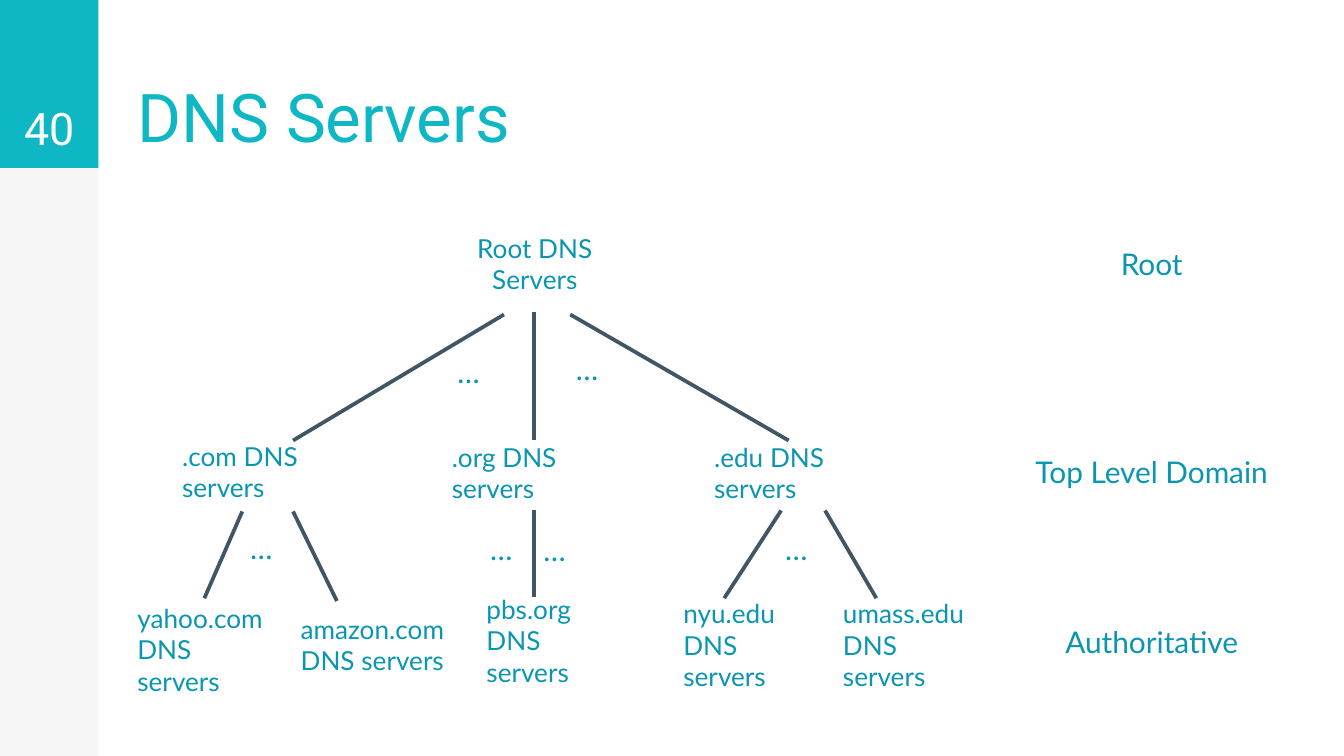
from dataclasses import dataclass

from lxml.etree import SubElement
from pptx import Presentation
from pptx.dml.color import RGBColor
from pptx.enum.shapes import MSO_CONNECTOR, MSO_SHAPE
from pptx.enum.text import MSO_ANCHOR, MSO_AUTO_SIZE, PP_ALIGN
from pptx.oxml.ns import qn
from pptx.util import Pt


@dataclass(frozen=True)
class Theme:
    accent: RGBColor = RGBColor.from_string("0DB7C4")
    sidebar: RGBColor = RGBColor.from_string("F6F6F6")
    label: RGBColor = RGBColor.from_string("0A95B0")
    branch: RGBColor = RGBColor.from_string("415665")
    white: RGBColor = RGBColor.from_string("FFFFFF")
    heading_font: str = "Roboto"
    body_font: str = "Lato"
    title_size: int = 36
    number_size: int = 24
    level_size: int = 16
    server_size: int = 14


theme = Theme()


def write(box, text, name, size, color, align, anchor, margins):
    frame = box.text_frame
    frame.text = text
    frame_format = {
        "word_wrap": True,
        "auto_size": MSO_AUTO_SIZE.NONE,
        "vertical_anchor": anchor,
        "margin_left": Pt(margins[0]),
        "margin_right": Pt(margins[0]),
        "margin_top": Pt(margins[1]),
        "margin_bottom": Pt(margins[1]),
    }
    for attribute, value in frame_format.items():
        setattr(frame, attribute, value)
    for para in frame.paragraphs:
        para.alignment = align
        for span in para.runs:
            for attribute, value in {"name": name, "size": Pt(size)}.items():
                setattr(span.font, attribute, value)
            span.font.color.rgb = color


deck = Presentation()
deck.slide_width, deck.slide_height = Pt(720), Pt(405)
page = deck.slides.add_slide(deck.slide_layouts[5])
shapes = page.shapes

for height, color in [(405, theme.sidebar), (90, theme.accent)]:
    panel = shapes.add_shape(MSO_SHAPE.RECTANGLE, 0, 0, Pt(52.7), Pt(height))
    panel.shadow.inherit = False
    panel.fill.solid()
    panel.fill.fore_color.rgb = color
    panel.line.fill.background()

title = shapes.title
title_place = {"left": 66.5, "top": 0.5, "width": 600, "height": 90}
for attribute, value in title_place.items():
    setattr(title, attribute, Pt(value))
write(title, "DNS Servers", theme.heading_font, theme.title_size, theme.accent,
      PP_ALIGN.LEFT, MSO_ANCHOR.BOTTOM, (7.2, 7.2))

number = shapes.add_textbox(0, 0, Pt(52.7), Pt(90))
write(number, "40", theme.heading_font, theme.number_size, theme.white,
      PP_ALIGN.CENTER, MSO_ANCHOR.BOTTOM, (7.2, 7.2))

branches = [
    (270, 168.5, 157, 236),
    (286, 167, 286, 235.5),
    (305.5, 168.5, 422.5, 236),
    (129.8, 274, 109.5, 320.5),
    (157, 274, 180.5, 322),
    (286, 273.5, 286, 320),
    (418.5, 273.5, 388, 320.5),
    (442, 273.5, 469.5, 320.5),
]
for points in branches:
    branch = shapes.add_connector(MSO_CONNECTOR.STRAIGHT, *map(Pt, points))
    branch.line.color.rgb = theme.branch
    branch.line.width = Pt(2)
    SubElement(branch.element.spPr, qn("a:effectLst"))

servers = [
    ("Root DNS Servers", 227.5, 129, 118, 24.5, PP_ALIGN.CENTER),
    (".com DNS servers", 90.5, 240.5, 117, 24.5, PP_ALIGN.LEFT),
    (".org DNS servers", 235, 241, 111, 24.5, PP_ALIGN.LEFT),
    (".edu DNS servers", 375.5, 241, 114, 24.5, PP_ALIGN.LEFT),
    ("yahoo.com\nDNS servers", 66.5, 327.5, 85, 41, PP_ALIGN.LEFT),
    ("amazon.com\nDNS servers", 154, 325, 92, 41, PP_ALIGN.LEFT),
    ("pbs.org\nDNS servers", 253.5, 322.5, 85, 41, PP_ALIGN.LEFT),
    ("nyu.edu\nDNS servers", 359, 325, 85, 41, PP_ALIGN.LEFT),
    ("umass.edu\nDNS servers", 444.5, 325, 85, 41, PP_ALIGN.LEFT),
]
for text, left, top, width, height, align in servers:
    server = shapes.add_textbox(Pt(left), Pt(top), Pt(width), Pt(height))
    write(server, text, theme.body_font, theme.server_size, theme.label,
          align, MSO_ANCHOR.MIDDLE, (7.2, 3.6))

levels = [("Root", 130.5), ("Top Level Domain", 242), ("Authoritative", 333)]
gaps = [(240.5, 180), (304, 178.5), (129.5, 274.5),
        (258, 275), (286.5, 275.5), (416, 275)]
labels = [(text, 548.5, top, 137, 21.5) for text, top in levels]
labels += [("…", left, top, 21, 38) for left, top in gaps]
for text, *place in labels:
    label = shapes.add_textbox(*map(Pt, place))
    write(label, text, theme.body_font, theme.level_size, theme.label,
          PP_ALIGN.CENTER, MSO_ANCHOR.MIDDLE, (0, 0))

deck.save("out.pptx")
